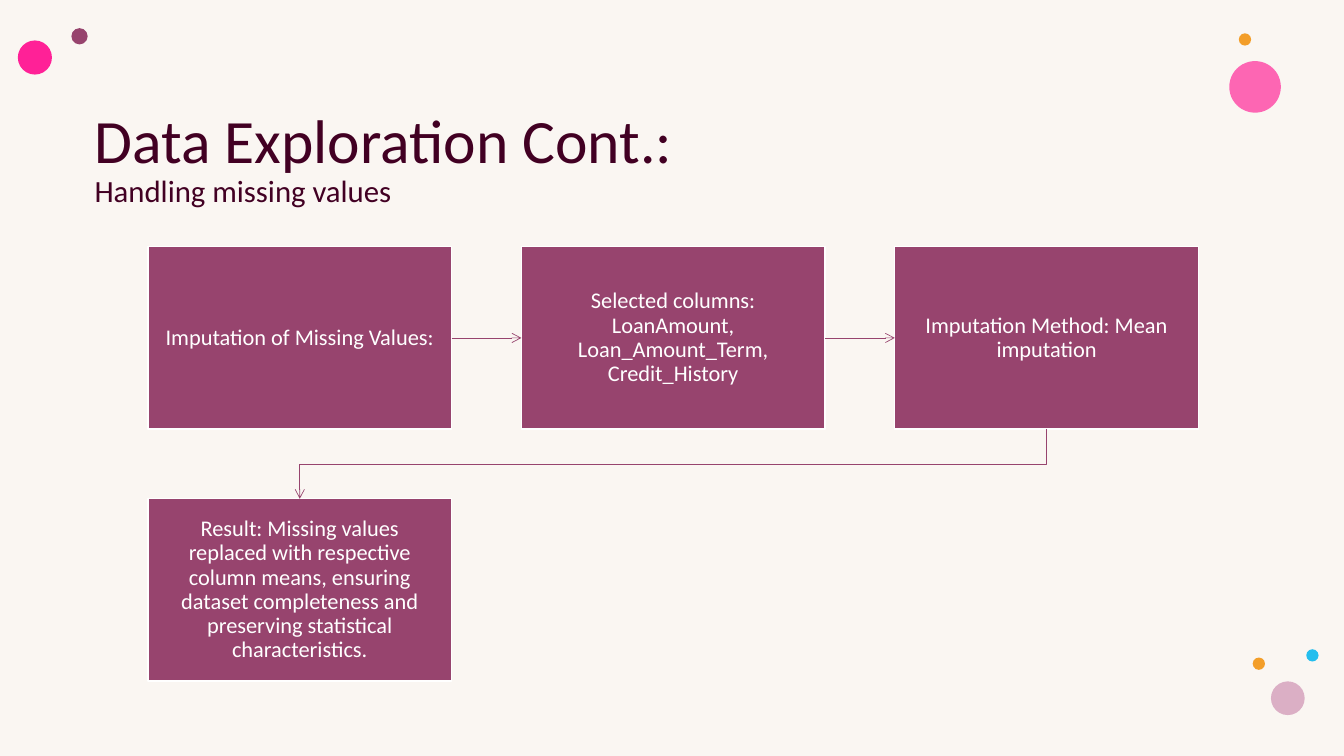
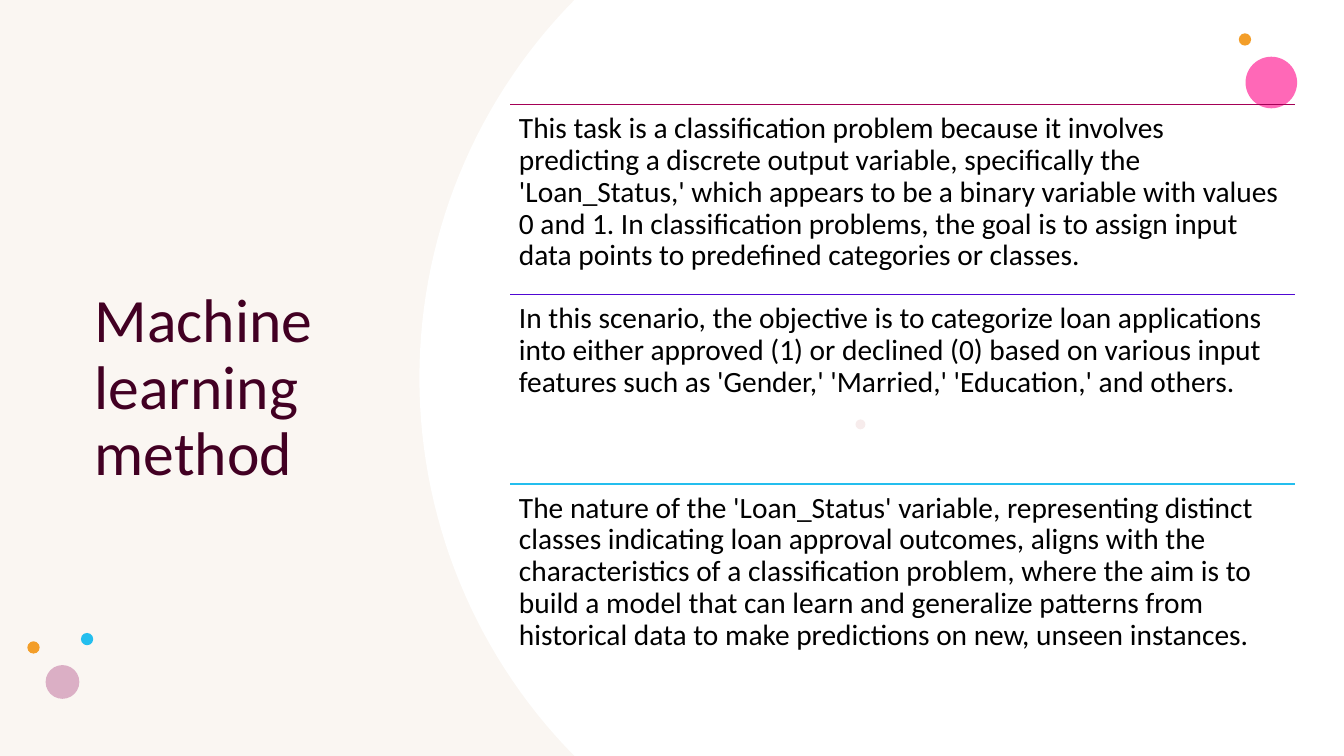
from math import asin, cos, sin

from pptx import Presentation
from pptx.dml.color import RGBColor
from pptx.enum.shapes import MSO_CONNECTOR, MSO_SHAPE
from pptx.enum.text import MSO_ANCHOR, MSO_AUTO_SIZE, PP_ALIGN
from pptx.oxml.ns import qn
from pptx.util import Cm, Pt
from lxml.etree import SubElement

FONT = "Calibri"
CREAM = RGBColor(0xFA, 0xF6, 0xF2)
WHITE = RGBColor(0xFF, 0xFF, 0xFF)
BLACK = RGBColor(0x00, 0x00, 0x00)
WINE = RGBColor(0x42, 0x00, 0x23)
PLUM = RGBColor(0x97, 0x44, 0x6E)
PINK = RGBColor(0xFF, 0x2F, 0x9C)
MAGENTA = RGBColor(0xFF, 0x21, 0x97)
ORANGE = RGBColor(0xF3, 0x9E, 0x29)
SKY = RGBColor(0x24, 0xBE, 0xEE)
MAUVE = RGBColor(0xDB, 0xAF, 0xC5)
BLUSH = RGBColor(0xE3, 0xBE, 0xBE)
CRIMSON = RGBColor(0xA4, 0x00, 0x56)
VIOLET = RGBColor(0x50, 0x08, 0xD3)

WIDTH, HEIGHT = 33.87, 19.05
TITLE_LEFT, TITLE_TOP = 2.13, 2.64

STEPS = [
    "Imputation of Missing Values:",
    "Selected columns: LoanAmount, Loan_Amount_Term, Credit_History",
    "Imputation Method: Mean imputation",
    "Result: Missing values replaced with respective column means, ensuring "
    "dataset completeness and preserving statistical characteristics.",
]
STEP_COLUMNS = 3
STEP_LEFT, STEP_TOP, STEP_WIDTH, STEP_HEIGHT = 3.73, 6.22, 7.65, 4.59
STEP_PITCH_X, STEP_PITCH_Y = 9.41, 6.35

REASONS = [
    (CRIMSON, "This task is a classification problem because it involves predicting "
     "a discrete output variable, specifically the 'Loan_Status,' which appears to be "
     "a binary variable with values 0 and 1. In classification problems, the goal is "
     "to assign input data points to predefined categories or classes."),
    (VIOLET, "In this scenario, the objective is to categorize loan applications into "
     "either approved (1) or declined (0) based on various input features such as "
     "'Gender,' 'Married,' 'Education,' and others."),
    (SKY, "The nature of the 'Loan_Status' variable, representing distinct classes "
     "indicating loan approval outcomes, aligns with the characteristics of a "
     "classification problem, where the aim is to build a model that can learn and "
     "generalize patterns from historical data to make predictions on new, unseen "
     "instances."),
]
REASON_LEFT, REASON_TOP, REASON_WIDTH, REASON_HEIGHT = 12.86, 2.64, 19.77, 4.78

TOP_DOT = (31.22, 0.84, 0.31, ORANGE, 100)
CLUSTER = [
    (1.35, 0, 0.31, SKY, 100),
    (0.46, 0.81, 0.85, MAUVE, 100),
    (0, 0.21, 0.31, ORANGE, 100),
]
EXPLORATION_DOTS = [
    (1.8, 0.71, 0.41, PLUM, 100),
    (30.98, 1.54, 1.3, PINK, 72),
    TOP_DOT,
    (0.45, 1.02, 0.86, MAGENTA, 100),
]
METHOD_DOTS = [
    (31.39, 1.43, 1.3, PINK, 72),
    TOP_DOT,
    (21.56, 10.57, 0.25, BLUSH, 28),
]

PANEL_LEFT, PANEL_RADIUS, PANEL_STEPS = 10.57, 13.56, 60


def add_dots(page, dots, left=0, top=0):
    for x, y, size, color, opacity in dots:
        dot = page.shapes.add_shape(
            MSO_SHAPE.OVAL, Cm(left + x), Cm(top + y), Cm(size), Cm(size))
        paint(dot, color)
        if opacity < 100:
            tint = dot._element.spPr.find(qn("a:solidFill"))[0]
            SubElement(tint, qn("a:alpha")).set("val", str(opacity * 1000))


def paint(shape, color):
    shape.shadow.inherit = False
    shape.fill.solid()
    shape.fill.fore_color.rgb = color
    shape.line.fill.background()


def write(shape, text, sizes, color, anchor=MSO_ANCHOR.TOP,
          align=PP_ALIGN.LEFT, margin=None):
    frame = shape.text_frame
    frame.text = text
    frame.word_wrap = True
    frame.auto_size = MSO_AUTO_SIZE.NONE
    frame.vertical_anchor = anchor
    if margin is not None:
        frame.margin_left = frame.margin_right = Cm(margin)
        frame.margin_top = frame.margin_bottom = Cm(margin)
    para = frame.paragraphs[0]
    para.alignment = align
    para.line_spacing = 0.9
    for span, size in zip(para.runs, sizes):
        span.font.name = FONT
        span.font.size = Pt(size)
        span.font.color.rgb = color


def add_page(deck, title, sizes, width, height, anchor):
    page = deck.slides.add_slide(deck.slide_layouts[5])
    box = page.shapes.title
    box.left, box.top = Cm(TITLE_LEFT), Cm(TITLE_TOP)
    box.width, box.height = Cm(width), Cm(height)
    write(box, title, sizes, WINE, anchor)
    return page


def add_line(page, kind, start, end, color, weight, arrow=False):
    line = page.shapes.add_connector(kind, *start, *end)
    line.line.color.rgb = color
    line.line.width = Pt(weight)
    if arrow:
        SubElement(line.line._get_or_add_ln(), qn("a:tailEnd")).set("type", "arrow")
    SubElement(line._element.spPr, qn("a:effectLst"))
    return line


def add_step(page, index, text):
    row, column = divmod(index, STEP_COLUMNS)
    box = page.shapes.add_shape(
        MSO_SHAPE.RECTANGLE,
        Cm(STEP_LEFT + column * STEP_PITCH_X), Cm(STEP_TOP + row * STEP_PITCH_Y),
        Cm(STEP_WIDTH), Cm(STEP_HEIGHT))
    paint(box, PLUM)
    box.line.color.rgb = WHITE
    box.line.width = Pt(1)
    write(box, text, [16], WHITE, MSO_ANCHOR.MIDDLE, PP_ALIGN.CENTER, 0.38)
    return box


def link_across(page, box, following):
    arrow = add_line(page, MSO_CONNECTOR.STRAIGHT, (0, 0), (0, 0), PLUM, 0.5, True)
    arrow.begin_connect(box, 3)
    arrow.end_connect(following, 1)


def link_to_next_row(page, box, following):
    start_x, end_x = (item.left + item.width // 2 for item in (box, following))
    start_y, end_y = box.top + box.height, following.top
    middle_x, middle_y = (start_x + end_x) // 2, (start_y + end_y) // 2
    half_drop, half_run = (end_y - start_y) // 2, (start_x - end_x) // 2
    arrow = add_line(page, MSO_CONNECTOR.ELBOW,
                     (middle_x - half_drop, middle_y - half_run),
                     (middle_x + half_drop, middle_y + half_run), PLUM, 0.5, True)
    arrow._element.spPr.find(qn("a:xfrm")).set("rot", "5400000")


def add_panel(page):
    reach = asin(HEIGHT / 2 / PANEL_RADIUS)
    angles = [reach - 2 * reach * step / PANEL_STEPS for step in range(PANEL_STEPS + 1)]
    arc = [(Cm(PANEL_LEFT + PANEL_RADIUS * (1 - cos(angle))),
            Cm(HEIGHT / 2 + PANEL_RADIUS * sin(angle))) for angle in angles]
    builder = page.shapes.build_freeform(Cm(WIDTH), Cm(0))
    builder.add_line_segments([(Cm(WIDTH), Cm(HEIGHT))] + arc)
    paint(builder.convert_to_shape(), WHITE)


def build_exploration(deck):
    page = add_page(deck, "Data Exploration Cont.:\vHandling missing values",
                    [44, 22], 29.92, 3.2, MSO_ANCHOR.TOP)
    add_dots(page, EXPLORATION_DOTS)
    add_dots(page, CLUSTER, 31.57, 16.36)
    boxes = [add_step(page, index, text) for index, text in enumerate(STEPS)]
    for box, following in zip(boxes, boxes[1:]):
        link = link_across if box.top == following.top else link_to_next_row
        link(page, box, following)


def build_method(deck):
    page = add_page(deck, "Machine learning method", [44], 7.95, 14.33,
                    MSO_ANCHOR.MIDDLE)
    add_panel(page)
    add_dots(page, METHOD_DOTS)
    add_dots(page, CLUSTER, 0.69, 15.95)
    left, right = Cm(REASON_LEFT), Cm(REASON_LEFT + REASON_WIDTH)
    for index, (color, text) in enumerate(REASONS):
        top = Cm(REASON_TOP + index * REASON_HEIGHT)
        add_line(page, MSO_CONNECTOR.STRAIGHT, (left, top), (right, top), color, 1)
        box = page.shapes.add_textbox(left, top, Cm(REASON_WIDTH), Cm(REASON_HEIGHT))
        write(box, text, [21], BLACK, margin=0.22)


def main():
    deck = Presentation()
    deck.slide_width, deck.slide_height = Cm(WIDTH), Cm(HEIGHT)
    backdrop = deck.slide_master.background.fill
    backdrop.solid()
    backdrop.fore_color.rgb = CREAM
    build_exploration(deck)
    build_method(deck)
    deck.save("out.pptx")


if __name__ == "__main__":
    main()
